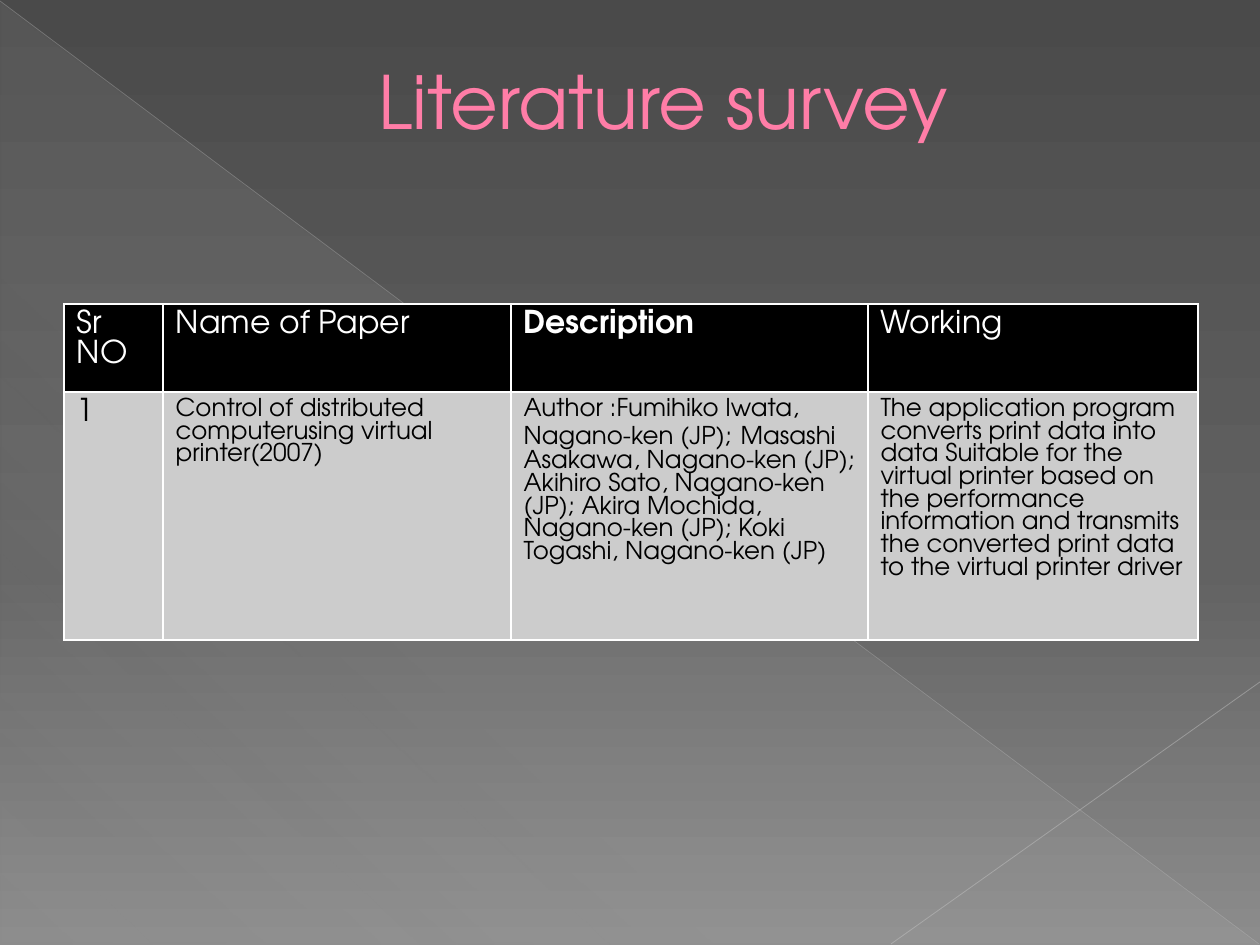
from lxml import etree
from pptx import Presentation, util as u
from pptx.dml.color import RGBColor
from pptx.enum import shapes, text
from pptx.oxml.ns import qn

PX = 914400 // 126
THEME = {
    "font": "TeX Gyre Adventor",
    "pink": "FF7DA7", "white": "FFFFFF", "black": "000000", "cell": "CCCCCC",
    "background": [(0, "4A4A4A", 100), (60, "626262", 100), (100, "8C8C8C", 100)],
    "veil": [(0, "D2D2D2", 10), (70, "D2D2D2", 8), (100, "D2D2D2", 1)],
    "title": 42, "head": 18, "body": 14,
}


def px(n):
    return u.Emu(n * PX)


def sub(parent, tag, **attrs):
    el = etree.SubElement(parent, qn("a:" + tag))
    for name, value in attrs.items():
        el.set(name, str(value))
    return el


def set_all(obj, values):
    for name, value in values.items():
        setattr(obj, name, value)


class Deck:
    def __init__(self, prs, theme):
        self.t = theme
        self.s = prs.slides.add_slide(prs.slide_layouts[6])

    def rgb(self, color):
        return RGBColor.from_string(self.t.get(color, color))

    def gradient(self, fill, root, stops, angle):
        fill.gradient()
        grad = root.find(".//" + qn("a:gradFill"))
        for child in list(grad):
            grad.remove(child)
        gs_list = sub(grad, "gsLst")
        for pos, color, alpha in self.t[stops]:
            clr = sub(sub(gs_list, "gs", pos=pos * 1000), "srgbClr", val=color)
            sub(clr, "alpha", val=alpha * 1000)
        sub(grad, "lin", ang=angle * 60000, scaled=0)

    def background(self, stops, angle):
        self.gradient(self.s.background.fill, self.s.element, stops, angle)

    def triangle(self, x, y, w, h, stops, angle):
        sp = self.s.shapes.add_shape(shapes.MSO_SHAPE.RIGHT_TRIANGLE, px(x), px(y), px(w), px(h))
        sp.shadow.inherit = False
        sp.line.fill.background()
        self.gradient(sp.fill, sp.element.spPr, stops, angle)

    def line(self, x1, y1, x2, y2, color, width, alpha):
        sp = self.s.shapes.add_connector(shapes.MSO_CONNECTOR.STRAIGHT, px(x1), px(y1), px(x2), px(y2))
        sp.line.color.rgb = self.rgb(color)
        sp.line.width = u.Pt(width)
        sp_pr = sp.element.spPr
        sub(sp_pr.find(".//" + qn("a:srgbClr")), "alpha", val=alpha * 1000)
        sub(sp_pr, "effectLst")

    def run(self, p, wording, size, color, bold=False):
        r = p.add_run()
        r.text = wording
        set_all(r.font, {"name": self.t["font"], "size": u.Pt(self.t[size]), "bold": bold})
        r.font.color.rgb = self.rgb(color)

    def title(self, x, y, w, h, wording, left, bottom):
        tf = self.s.shapes.add_textbox(px(x), px(y), px(w), px(h)).text_frame
        set_all(tf, {"word_wrap": True, "vertical_anchor": text.MSO_ANCHOR.MIDDLE,
                     "margin_left": px(left), "margin_bottom": px(bottom)})
        p = tf.paragraphs[0]
        p.alignment = text.PP_ALIGN.CENTER
        self.run(p, wording, "title", "pink")

    def borders(self, cell, color):
        tc_pr = cell._tc.get_or_add_tcPr()
        for i, side in enumerate(("lnL", "lnR", "lnT", "lnB")):
            ln = etree.Element(qn("a:" + side), w=str(u.Pt(1)))
            sub(sub(ln, "solidFill"), "srgbClr", val=self.t[color])
            tc_pr.insert(i, ln)

    def table(self, x, y, widths, heights, rows):
        frame = self.s.shapes.add_table(len(rows), len(widths), px(x), px(y),
                                        px(sum(widths)), px(sum(heights)))
        tbl = frame.table
        set_all(tbl, {"first_row": False, "horz_banding": False})
        for col, w in zip(tbl.columns, widths):
            col.width = px(w)
        for row, h, (fill, color, contents) in zip(tbl.rows, heights, rows):
            row.height = px(h)
            for cell, paragraphs in zip(row.cells, contents):
                cell.fill.solid()
                cell.fill.fore_color.rgb = self.rgb(fill)
                self.borders(cell, "white")
                tf = cell.text_frame
                for i, runs in enumerate(paragraphs):
                    p = tf.add_paragraph() if i else tf.paragraphs[0]
                    for wording, size, *bold in runs:
                        self.run(p, wording, size, color, *bold)


HEADER = [[[("Sr NO", "head")]], [[("Name of Paper", "head")]],
          [[("Description", "head", True)]], [[("Working", "head")]]]
PAPER = [
    [[("1", "head")]],
    [[("Control of distributed computerusing virtual printer(2007)", "body")]],
    [[("Author :Fumihiko Iwata, Nagano-ken (JP);", "body"), (" ", "head"),
      ("Masashi Asakawa, Nagano-ken (JP);", "body")],
     [("Akihiro Sato, Nagano-ken (JP); Akira Mochida, Nagano-ken (JP); "
       "Koki Togashi, Nagano-ken (JP)", "body")]],
    [[("The application program converts print data into data Suitable for the virtual "
       "printer based on the performance information and transmits the converted print "
       "data to the virtual printer driver", "body")]],
]

prs = Presentation()
set_all(prs, {"slide_width": px(1260), "slide_height": px(945)})
deck = Deck(prs, THEME)
deck.background("background", 90)
deck.triangle(1, 2, 1258, 942, "veil", 133)
deck.line(0, 1, 1259, 944, "BFBFBF", 0.39, 35)
deck.line(1260, 682, 891, 944, "C6C6C6", 0.47, 45)
deck.title(63, 37, 1134, 193, "Literature survey", left=79, bottom=74)
deck.table(64, 304, [99, 348, 357, 330], [71, 208],
           [("black", "white", HEADER), ("cell", "black", PAPER)])
prs.save("out.pptx")
